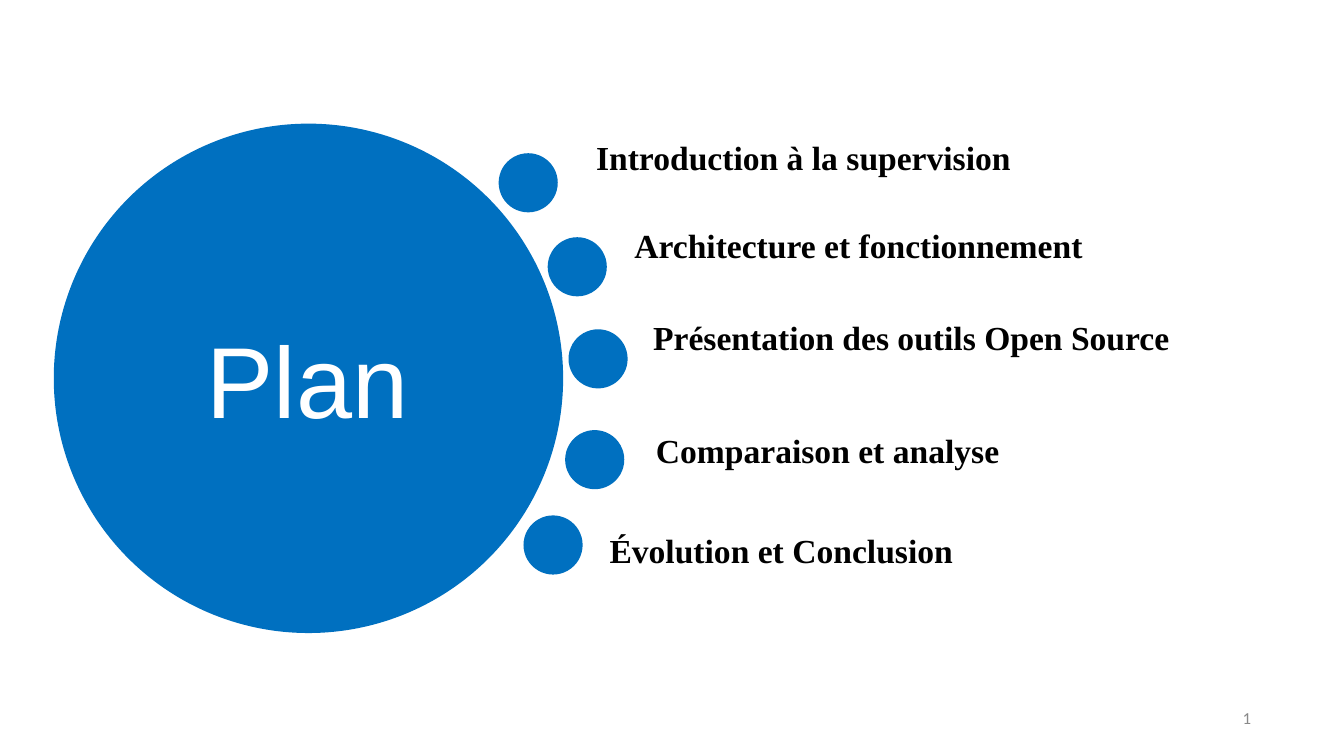
import pptx
import pptx.util
import pptx.dml.color
import pptx.enum.shapes
import pptx.enum.text

Inches, Pt = pptx.util.Inches, pptx.util.Pt
PP_ALIGN = pptx.enum.text.PP_ALIGN
ANCHOR = pptx.enum.text.MSO_ANCHOR
RGBColor = pptx.dml.color.RGBColor

BLUE = RGBColor(0x00, 0x70, 0xC0)
WHITE = RGBColor(0xFF, 0xFF, 0xFF)
BLACK = RGBColor(0x00, 0x00, 0x00)
GREY = RGBColor(0x89, 0x89, 0x89)

DOT_SIZE = 0.88

# Each topic: text, dot left and top, text left, top and width
TOPICS = [
    ("Introduction à la supervision", 7.42, 2.28, 8.87, 2.04, 6.64),
    ("Architecture et fonctionnement", 8.15, 3.53, 9.44, 3.34, 10.5),
    ("Présentation des outils Open Source", 8.46, 4.9, 9.72, 4.71, 9.49),
    ("Comparaison et analyse", 8.41, 6.4, 9.76, 6.39, 5.18),
    ("Évolution et Conclusion", 7.79, 7.67, 9.07, 7.89, 5.62),
]

presentation = pptx.Presentation()
presentation.slide_width = Inches(20)
presentation.slide_height = Inches(11.25)
slide = presentation.slides.add_slide(presentation.slide_layouts[5])


def add_disc(left, top, size):
    disc = slide.shapes.add_shape(
        pptx.enum.shapes.MSO_SHAPE.OVAL,
        Inches(left), Inches(top), Inches(size), Inches(size))
    disc.shadow.inherit = False
    disc.fill.solid()
    disc.fill.fore_color.rgb = BLUE
    disc.line.fill.background()
    return disc


def write(holder, text, font, size, color, spacing, align, anchor, bold=False):
    frame = holder.text_frame
    frame.word_wrap = True
    frame.auto_size = pptx.enum.text.MSO_AUTO_SIZE.NONE
    frame.margin_left = frame.margin_right = 0
    frame.margin_top = frame.margin_bottom = 0
    frame.vertical_anchor = anchor
    paragraph = frame.paragraphs[0]
    paragraph.alignment = align
    paragraph.line_spacing = Pt(spacing)
    run = paragraph.add_run()
    run.text = text
    run.font.name = font
    run.font.size = Pt(size)
    run.font.bold = bold
    run.font.color.rgb = color


# Large disc, placed behind the title
plan_disc = add_disc(0.8, 1.84, 7.58)
plan = slide.shapes.title
plan.element.addprevious(plan_disc.element)
plan.left, plan.top = Inches(1.92), Inches(2.48)
plan.width, plan.height = Inches(5.31), Inches(6.49)
write(plan, "Plan", "Arial", 108, WHITE, 116.6, PP_ALIGN.CENTER, ANCHOR.MIDDLE)

# Topics around the disc
for topic, dot_left, dot_top, left, top, width in TOPICS:
    add_disc(dot_left, dot_top, DOT_SIZE)
    label = slide.shapes.add_textbox(
        Inches(left), Inches(top), Inches(width), Inches(0.62))
    write(label, topic, "Times New Roman", 36, BLACK, 43.2,
          PP_ALIGN.LEFT, ANCHOR.TOP, bold=True)

# Page number
page_number = slide.shapes.add_textbox(
    Inches(14.12), Inches(10.33), Inches(4.5), Inches(0.69))
write(page_number, "1", "Calibri", 18, GREY, 21.6, PP_ALIGN.RIGHT, ANCHOR.MIDDLE)

presentation.save("out.pptx")
